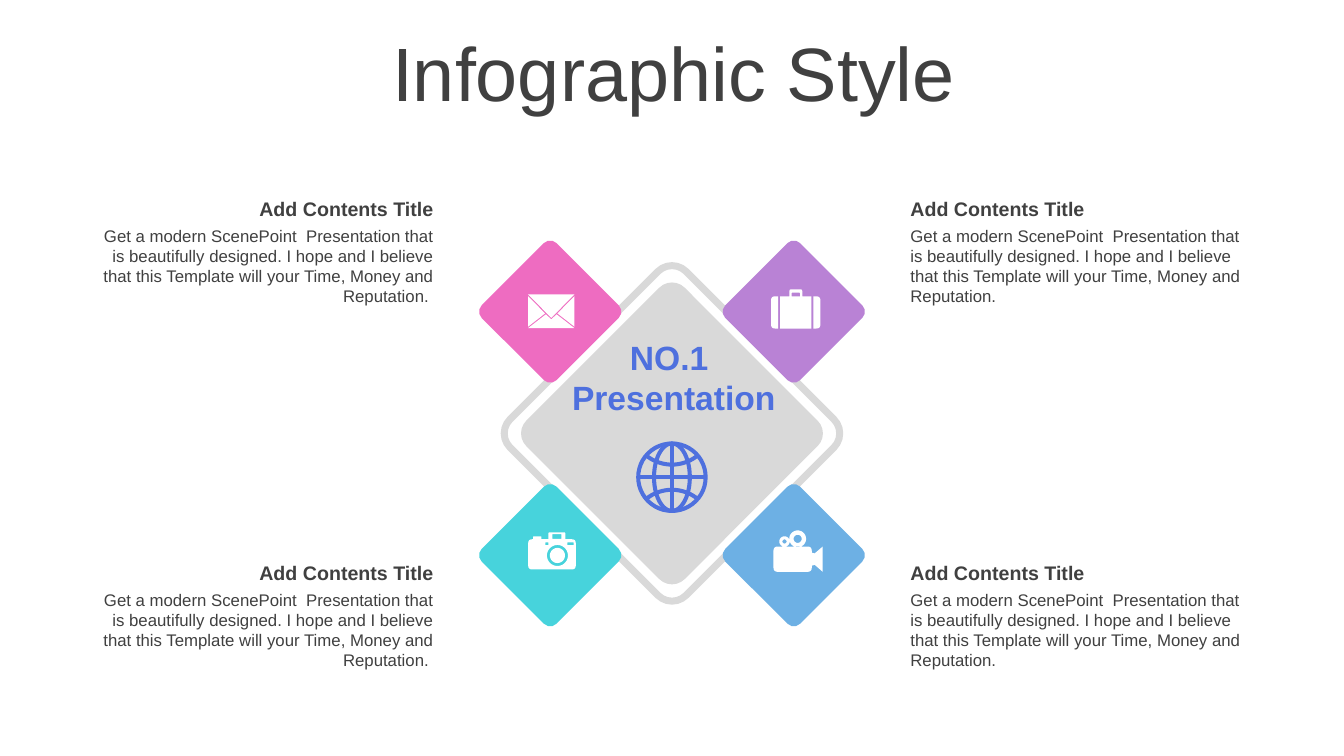
"""Build the infographic slide with four diamonds around a central globe."""
from math import cos, pi, sin

from pptx import Presentation
from pptx.dml.color import RGBColor
from pptx.enum.shapes import MSO_SHAPE
from pptx.enum.text import MSO_ANCHOR, MSO_AUTO_SIZE, PP_ALIGN
from pptx.util import Pt

TITLE = "Infographic Style"
CENTER_LINES = ["NO.1 ", "Presentation"]
HEADING = "Add Contents Title"
BODY = ("Get a modern ScenePoint  Presentation that is beautifully designed. "
        "I hope and I believe that this Template will your Time, Money and Reputation.")
DARK, GRAY, BLUE, WHITE = "404040", "D9D9D9", "4E70DE", "FFFFFF"

# Outline corners are (x, y) or (x, y, rounding); circles are (x, y, radius).
ENVELOPE = {
    "origin": (377.3, 210.3),
    "outlines": [
        [(20.3, 14.2), (33, 24), (0, 24), (12.7, 14.2), (16.5, 17.8)],
        [(33, 1.3), (33, 23), (20.9, 13.6)],
        [(0, 1.3), (12.1, 13.6), (0, 23)],
        [(0, 0), (33, 0), (16.5, 16.8)],
    ],
    "circles": [],
}
SUITCASE = {
    "origin": (550.8, 206.7),
    "outlines": [
        [(0, 5, 2.9), (5, 5), (5, 28), (0, 28, 2.9)],
        [(30.2, 5), (35.2, 5, 2.9), (35.2, 28, 2.9), (30.2, 28)],
        [(6.5, 5), (13.1, 5), (13.1, 0, 1.4), (22.3, 0, 1.4), (22.3, 5),
         (28.8, 5), (28.8, 28), (6.5, 28)],
        [(14.6, 5), (14.6, 2.3, 0.9), (20.7, 2.3, 0.9), (20.7, 5)],
    ],
    "circles": [],
}
CAMERA = {
    "origin": (377.3, 380.2),
    "outlines": [
        [(0, 5, 2.9), (3.6, 5), (3.6, 2.9, 0.5), (9.4, 2.9, 0.5), (9.4, 5),
         (14.4, 5), (14.4, 0, 1.2), (26.6, 0, 1.2), (26.6, 5),
         (34, 5, 2.9), (34, 26.6, 2.9), (0, 26.6, 2.9)],
        [(17.3, 1.4), (23.8, 1.4), (23.8, 4.8), (17.3, 4.8)],
        [(12.2, 7.2), (14.4, 7.2), (14.4, 9.2), (12.2, 9.2)],
        [(28.1, 7.2), (32.4, 7.2), (32.4, 9.2), (28.1, 9.2)],
    ],
    "circles": [(20.9, 16.6, 7.5), (20.9, 16.6, 5.4)],
}
VIDEO = {
    "origin": (552.5, 378.9),
    "outlines": [
        [(0, 11.5, 3.2), (27.4, 11.5, 3.2), (27.4, 29.6, 3.2), (0, 29.6, 3.2)],
        [(27.4, 15.9), (29.5, 16.4), (35.2, 11.5), (35.2, 29.6),
         (29.5, 24.6), (27.4, 25.2)],
    ],
    "circles": [(17.3, 6, 6), (17.3, 6, 2.9), (7.9, 7.9, 3.7), (7.9, 7.9, 1.5)],
}
TOPICS = [
    (-1, -1, "EE6CC1", ENVELOPE),
    (1, -1, "B982D5", SUITCASE),
    (-1, 1, "47D3DC", CAMERA),
    (1, 1, "6DB0E4", VIDEO),
]

SLIDE_W, SLIDE_H = 960, 540
MID_X, MID_Y = 480, 309.6
TOPIC_OFFSET, TOPIC_SIZE = 87, 75.6
TEXT_MARGIN, TEXT_W = 58.3, 258.5
TOP_HEADING, ROW_STEP, BODY_DROP = 137.3, 260, 20.1
GLOBE_Y, GLOBE_R, MERIDIAN_R = 340.9, 24.1, 12.8
PARALLEL_R, PARALLEL_SHIFT, PARALLEL_SPREAD = 29.2, 38.2, 0.66


def color(hex_code):
    return RGBColor.from_string(hex_code)


def write(frame, lines, size, hex_code, align, bold=False):
    frame.word_wrap = True
    for i, line in enumerate(lines):
        paragraph = frame.paragraphs[0] if i == 0 else frame.add_paragraph()
        paragraph.alignment = align
        run = paragraph.add_run()
        run.text = line
        run.font.name = "Arial"
        run.font.size = Pt(size)
        run.font.bold = bold
        run.font.color.rgb = color(hex_code)


def add_text(slide, x, y, w, h, *style):
    box = slide.shapes.add_textbox(Pt(x), Pt(y), Pt(w), Pt(h))
    write(box.text_frame, *style)


def add_diamond(slide, x, y, size, rounding, fill=None, line=None):
    diamond = slide.shapes.add_shape(
        MSO_SHAPE.ROUNDED_RECTANGLE, Pt(x - size / 2), Pt(y - size / 2), Pt(size), Pt(size))
    diamond.adjustments[0] = rounding
    diamond.rotation = 45
    paint(diamond, fill, line, 5)


def paint(shape, fill, line, width):
    shape.shadow.inherit = False
    if fill:
        shape.fill.solid()
        shape.fill.fore_color.rgb = color(fill)
    else:
        shape.fill.background()
    if line:
        shape.line.color.rgb = color(line)
        shape.line.width = Pt(width)
    else:
        shape.line.fill.background()


def ellipse_arc(x, y, rx, ry, start=0, end=2 * pi, steps=48):
    angles = [start + (end - start) * i / steps for i in range(steps + 1)]
    return [(x + rx * cos(a), y + ry * sin(a)) for a in angles]


def toward(corner, neighbor, distance):
    dx, dy = neighbor[0] - corner[0], neighbor[1] - corner[1]
    share = distance / (dx * dx + dy * dy) ** 0.5
    return corner[0] + dx * share, corner[1] + dy * share


def round_corners(corners, steps=6):
    points = []
    for i, corner in enumerate(corners):
        if len(corner) == 2:
            points.append(corner)
            continue
        a = toward(corner, corners[i - 1], corner[2])
        b = toward(corner, corners[(i + 1) % len(corners)], corner[2])
        for t in (step / steps for step in range(steps + 1)):
            points.append(tuple((1 - t) ** 2 * a[k] + 2 * t * (1 - t) * corner[k]
                                + t * t * b[k] for k in (0, 1)))
    return points


def add_freeform(slide, contours, origin, closed):
    paths = [[(Pt(x + origin[0]), Pt(y + origin[1])) for x, y in contour]
             for contour in contours]
    builder = slide.shapes.build_freeform(*paths[0][0], scale=1.0)
    for i, path in enumerate(paths):
        if i:
            builder.move_to(*path[0])
        builder.add_line_segments(path[1:], close=closed)
    return builder.convert_to_shape()


def add_icon(slide, icon):
    contours = [round_corners(outline) for outline in icon["outlines"]]
    contours += [ellipse_arc(x, y, r, r) for x, y, r in icon["circles"]]
    paint(add_freeform(slide, contours, icon["origin"], True), WHITE, None, 0)


def add_globe(slide):
    contours = [ellipse_arc(0, 0, rx, GLOBE_R) for rx in (GLOBE_R, MERIDIAN_R)]
    contours += [[(-GLOBE_R, 0), (GLOBE_R, 0)], [(0, -GLOBE_R), (0, GLOBE_R)]]
    for side in (-1, 1):
        facing = -side * pi / 2
        contours.append(ellipse_arc(0, side * PARALLEL_SHIFT, PARALLEL_R, PARALLEL_R,
                                    facing - PARALLEL_SPREAD, facing + PARALLEL_SPREAD))
    paint(add_freeform(slide, contours, (MID_X, GLOBE_Y), False), None, BLUE, 2.9)


def add_topic_text(slide, side_x, side_y):
    left = side_x < 0
    x = TEXT_MARGIN if left else SLIDE_W - TEXT_MARGIN - TEXT_W
    y = TOP_HEADING + (ROW_STEP if side_y > 0 else 0)
    align = PP_ALIGN.RIGHT if left else PP_ALIGN.LEFT
    body = BODY + " " if left else BODY
    add_text(slide, x, y + BODY_DROP, TEXT_W, 65.5, [body], 12, DARK, align)
    add_text(slide, x, y, TEXT_W, 24.5, [HEADING], 14, DARK, align, True)


def main():
    deck = Presentation()
    deck.slide_width, deck.slide_height = Pt(SLIDE_W), Pt(SLIDE_H)
    slide = deck.slides.add_slide(deck.slide_layouts[5])

    title = slide.shapes.title
    title.left, title.top, title.width, title.height = Pt(25.4), Pt(26.6), Pt(911.5), Pt(57)
    title.text_frame.auto_size = MSO_AUTO_SIZE.NONE
    title.text_frame.vertical_anchor = MSO_ANCHOR.MIDDLE
    write(title.text_frame, [TITLE], 54, DARK, PP_ALIGN.CENTER)
    title.text_frame.paragraphs[0].line_spacing = 0.9

    add_diamond(slide, MID_X, MID_Y, 177.8, 0.08, line=GRAY)
    add_diamond(slide, MID_X, MID_Y, 160, 0.08, fill=GRAY)
    for side_x, side_y, fill, icon in TOPICS:
        add_diamond(slide, MID_X + side_x * TOPIC_OFFSET, MID_Y + side_y * TOPIC_OFFSET,
                    TOPIC_SIZE, 0.084, fill=fill)
        add_icon(slide, icon)
        add_topic_text(slide, side_x, side_y)
    add_text(slide, 393.8, 237, 175, 65.5, CENTER_LINES, 24, BLUE, PP_ALIGN.CENTER, True)
    add_globe(slide)

    deck.save("out.pptx")


if __name__ == "__main__":
    main()
